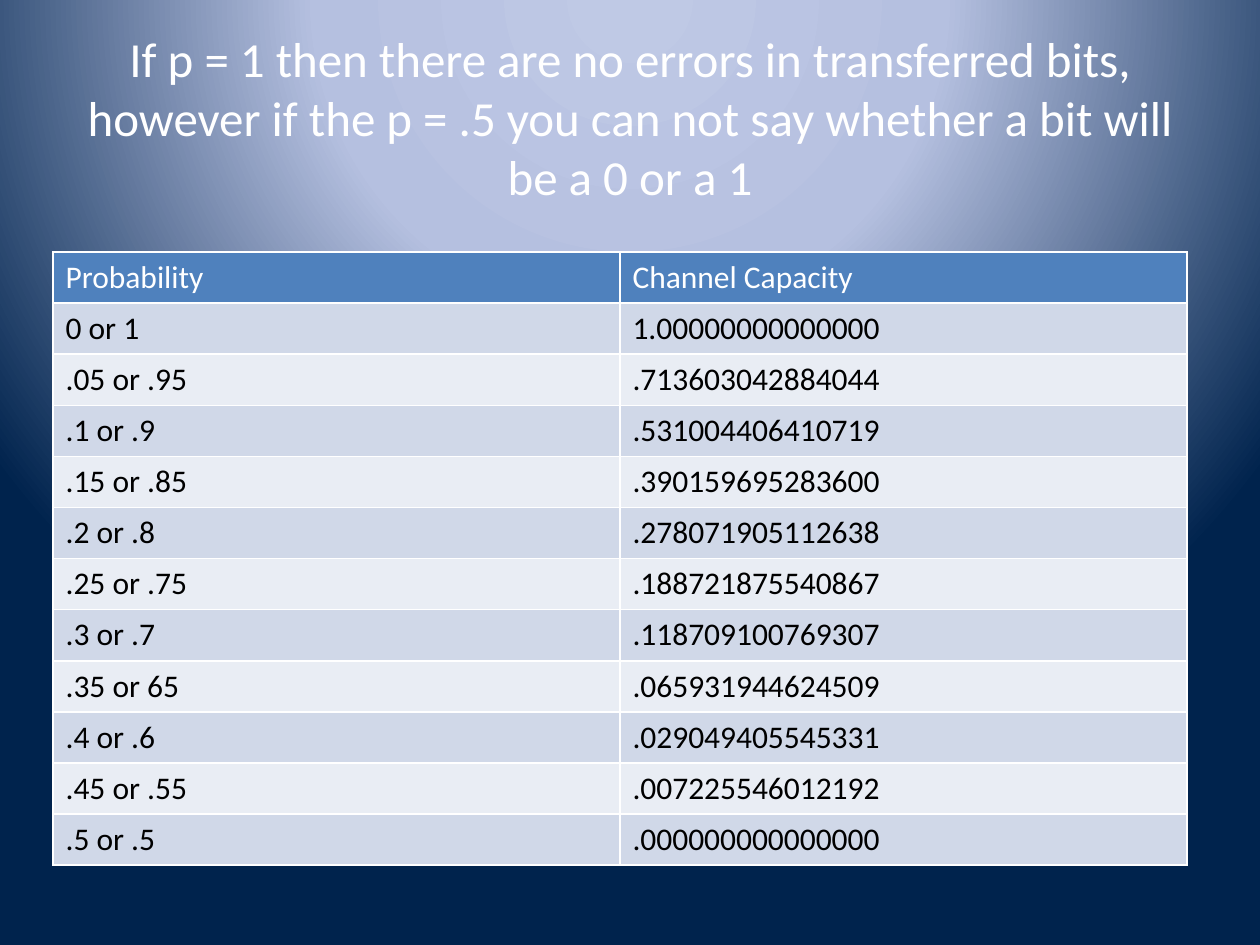
"""Build a slide with a table of channel capacity by bit probability."""
from pptx import Presentation, util as u
from pptx.dml.color import RGBColor
from pptx.enum import text
from pptx.oxml import parse_xml
from pptx.oxml.ns import nsdecls

PX = 914400 // 126
FONT = "Calibri"
COLORS = {
    "white": "FFFFFF", "black": "000000", "header": "4F81BD",
    "odd": "D0D8E8", "even": "E9EDF4",
    "glow": "BFC9E5", "haze": "B5C0E0", "navy": "00234D",
}
TITLE = ("If p = 1 then there are no errors in transferred bits, however if "
         "the p = .5 you can not say whether a bit will be a 0 or a 1")
ROWS = [
    ("Probability", "Channel Capacity"),
    ("0 or 1", "1.00000000000000"),
    (".05 or .95", ".713603042884044"),
    (".1 or .9", ".531004406410719"),
    (".15 or .85", ".390159695283600"),
    (".2 or .8", ".278071905112638"),
    (".25 or .75", ".188721875540867"),
    (".3 or .7", ".118709100769307"),
    (".35 or 65", ".065931944624509"),
    (".4 or .6", ".029049405545331"),
    (".45 or .55 ", ".007225546012192"),
    (".5 or .5", ".000000000000000"),
]


def px(n):
    return u.Emu(n * PX)


def rgb(name):
    return RGBColor.from_string(COLORS[name])


def set_background(s):
    stops = "".join(
        f'<a:gs pos="{pos * 1000}"><a:srgbClr val="{COLORS[name]}"/></a:gs>'
        for pos, name in ((0, "glow"), (40, "haze"), (100, "navy")))
    bg = parse_xml(
        f'<p:bg {nsdecls("p", "a")}><p:bgPr><a:gradFill rotWithShape="1">'
        f'<a:gsLst>{stops}</a:gsLst><a:path path="circle">'
        '<a:fillToRect l="50000" t="-80000" r="50000" b="180000"/></a:path>'
        '</a:gradFill><a:effectLst/></p:bgPr></p:bg>')
    s.element.cSld.insert(0, bg)


def format_text(tf, size, color, align):
    for p in tf.paragraphs:
        p.alignment = align
        for r in p.runs:
            r.font.name = FONT
            r.font.size = u.Pt(size)
            r.font.bold = False
            r.font.color.rgb = rgb(color)


def add_title(s):
    sp = s.shapes.title
    sp.left, sp.top, sp.width, sp.height = map(px, (63, 38, 1134, 158))
    tf = sp.text_frame
    tf.text = TITLE
    tf.word_wrap = True
    tf.auto_size = text.MSO_AUTO_SIZE.NONE
    tf.vertical_anchor = text.MSO_ANCHOR.MIDDLE
    format_text(tf, 28, "white", text.PP_ALIGN.CENTER)


def set_borders(cell):
    tc_pr = cell._tc.get_or_add_tcPr()
    for side in "LRTB":
        tc_pr.append(parse_xml(
            f'<a:ln{side} {nsdecls("a")} w="{u.Pt(1)}"><a:solidFill>'
            f'<a:srgbClr val="{COLORS["white"]}"/></a:solidFill></a:ln{side}>'))


def format_cell(cell, value, fill, color):
    cell.text = value
    set_borders(cell)
    cell.fill.solid()
    cell.fill.fore_color.rgb = rgb(fill)
    format_text(cell.text_frame, 18, color, text.PP_ALIGN.LEFT)


def add_capacity_table(s):
    row_h, col_w = 51, 567
    table = s.shapes.add_table(
        len(ROWS), 2, px(53), px(252), px(2 * col_w), px(row_h * len(ROWS))).table
    for col in table.columns:
        col.width = px(col_w)
    for i, values in enumerate(ROWS):
        table.rows[i].height = px(row_h)
        fill = "header" if i == 0 else "odd" if i % 2 else "even"
        color = "black" if i else "white"
        for j, value in enumerate(values):
            format_cell(table.cell(i, j), value, fill, color)


def main():
    prs = Presentation()
    prs.slide_width, prs.slide_height = px(1260), px(945)
    s = prs.slides.add_slide(prs.slide_layouts[5])
    set_background(s)
    add_title(s)
    add_capacity_table(s)
    prs.save("out.pptx")


main()
